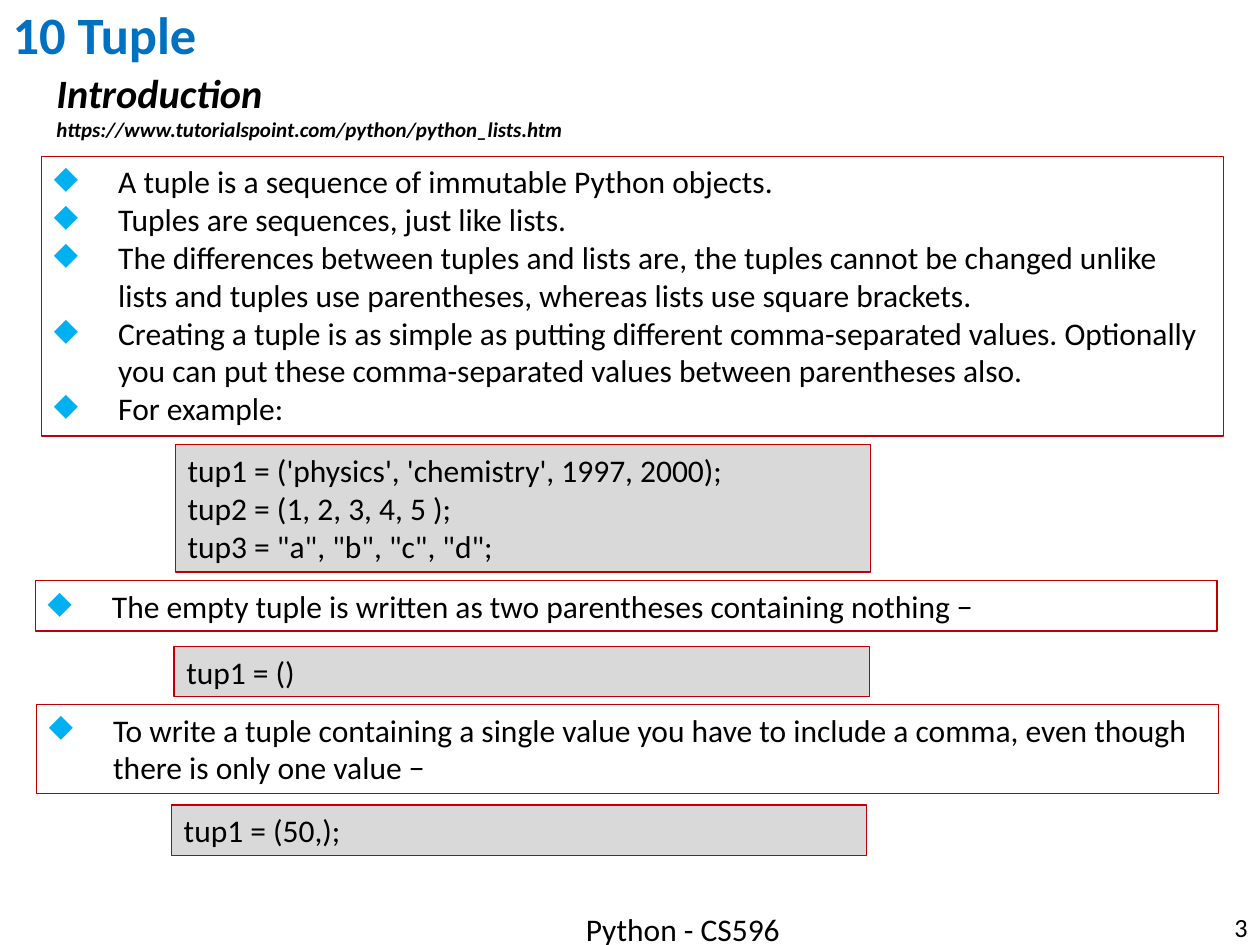
"""Build the slide that introduces Python tuples."""
from dataclasses import dataclass

from lxml import etree
from pptx import Presentation
from pptx.dml.color import RGBColor
from pptx.enum.shapes import MSO_SHAPE
from pptx.enum.text import MSO_ANCHOR, MSO_AUTO_SIZE, PP_ALIGN
from pptx.oxml.ns import qn
from pptx.util import Inches, Pt

RECTANGLE = MSO_SHAPE.RECTANGLE
TOP, MIDDLE = MSO_ANCHOR.TOP, MSO_ANCHOR.MIDDLE
NO_FIT, GROW = MSO_AUTO_SIZE.NONE, MSO_AUTO_SIZE.SHAPE_TO_FIT_TEXT
LEFT, CENTER, RIGHT = PP_ALIGN.LEFT, PP_ALIGN.CENTER, PP_ALIGN.RIGHT


@dataclass(frozen=True)
class Theme:
    """Colours, font, type sizes and measures of the slide."""
    font: str = "Calibri"
    text: str = "000000"
    heading: str = "0070C0"
    bullet: str = "00B0F0"
    border: str = "C00000"
    code_fill: str = "D9D9D9"
    title_size: float = 30
    subtitle_size: float = 23
    body_size: float = 18
    number_size: float = 15
    link_size: float = 12
    border_width: float = 0.75
    indent: float = 0.51
    point_width: float = 9.38
    code_width: float = 5.52


class TupleSlide:
    """Draws each kind of element on one slide in one style."""

    def __init__(self, slide, theme):
        self.slide = slide
        self.theme = theme

    def add_text(self, paragraph, text, size, color=None, bold=False, italic=False):
        """Add one formatted run to a paragraph."""
        run = paragraph.add_run()
        run.text = text
        font = run.font
        font.name, font.size = self.theme.font, Pt(size)
        font.bold, font.italic = bold, italic
        font.color.rgb = RGBColor.from_string(color or self.theme.text)

    def add_bullet(self, paragraph):
        """Give a paragraph a hanging diamond bullet."""
        properties = paragraph._p.get_or_add_pPr()
        properties.set("marL", str(Inches(self.theme.indent)))
        properties.set("indent", str(-Inches(self.theme.indent)))
        color = etree.SubElement(properties, qn("a:buClr"))
        etree.SubElement(color, qn("a:srgbClr"), val=self.theme.bullet)
        etree.SubElement(properties, qn("a:buChar"), char="◆")

    def fill_frame(self, frame, lines, align=LEFT, anchor=TOP, fit=GROW,
                   bulleted=False, **style):
        """Set (text, size) lines as the paragraphs of a frame."""
        frame.word_wrap = True
        frame.auto_size = fit
        frame.vertical_anchor = anchor
        for index, (text, size) in enumerate(lines):
            paragraph = frame.add_paragraph() if index else frame.paragraphs[0]
            paragraph.alignment = align
            if bulleted:
                self.add_bullet(paragraph)
            self.add_text(paragraph, text, size, **style)

    def title(self, text, left, top, width, height):
        """Place and format the title placeholder."""
        heading = self.slide.shapes.title
        heading.left, heading.top = Inches(left), Inches(top)
        heading.width, heading.height = Inches(width), Inches(height)
        self.fill_frame(heading.text_frame, [(text, self.theme.title_size)],
                        anchor=MIDDLE, fit=NO_FIT,
                        color=self.theme.heading, bold=True)
        heading.text_frame.paragraphs[0].line_spacing = 0.9

    def label(self, lines, left, top, width, height, **style):
        """Add a plain text box."""
        box = self.slide.shapes.add_textbox(
            Inches(left), Inches(top), Inches(width), Inches(height))
        self.fill_frame(box.text_frame, lines, **style)

    def panel(self, texts, left, top, width, height, fill=None, bulleted=False):
        """Add a bordered rectangle of body text."""
        box = self.slide.shapes.add_shape(
            RECTANGLE, Inches(left), Inches(top), Inches(width), Inches(height))
        box.shadow.inherit = False
        box.line.color.rgb = RGBColor.from_string(self.theme.border)
        box.line.width = Pt(self.theme.border_width)
        if fill:
            box.fill.solid()
            box.fill.fore_color.rgb = RGBColor.from_string(fill)
        else:
            box.fill.background()
        lines = [(text, self.theme.body_size) for text in texts]
        self.fill_frame(box.text_frame, lines, bulleted=bulleted)

    def points(self, texts, left, top, height):
        """Add a panel of bulleted statements."""
        self.panel(texts, left, top, self.theme.point_width, height, bulleted=True)

    def code(self, texts, left, top, height):
        """Add a shaded panel of code lines."""
        self.panel(texts, left, top, self.theme.code_width, height,
                   fill=self.theme.code_fill)


def main():
    """Compose and save the slide."""
    deck = Presentation()
    deck.slide_width, deck.slide_height = Inches(10), Inches(7.5)
    theme = Theme()
    page = TupleSlide(deck.slides.add_slide(deck.slide_layouts[5]), theme)

    page.label([("3", theme.number_size)], 7.75, 7.16, 2.25, 0.4,
               align=RIGHT, anchor=MIDDLE, fit=NO_FIT)
    page.title("10 Tuple", 0, -0.03, 10, 0.66)
    page.label([("Introduction", theme.subtitle_size),
                ("https://www.tutorialspoint.com/python/python_lists.htm",
                 theme.link_size)],
               0.35, 0.49, 6.37, 0.69, bold=True, italic=True)
    page.label([("Python - CS596", theme.body_size)], 3.08, 7.17, 4.68, 0.4,
               align=CENTER)

    page.points([
        "A tuple is a sequence of immutable Python objects.",
        "Tuples are sequences, just like lists.",
        "The differences between tuples and lists are, the tuples cannot be "
        "changed unlike lists and tuples use parentheses, whereas lists use "
        "square brackets.",
        "Creating a tuple is as simple as putting different comma-separated "
        "values. Optionally you can put these comma-separated values between "
        "parentheses also.",
        "For example:",
    ], 0.33, 1.24, 2.22)
    page.code([
        "tup1 = ('physics', 'chemistry', 1997, 2000);",
        "tup2 = (1, 2, 3, 4, 5 );",
        'tup3 = "a", "b", "c", "d";',
    ], 1.39, 3.53, 1.01)
    page.points(["The empty tuple is written as two parentheses containing "
                 "nothing −"], 0.28, 4.61, 0.4)
    page.code(["tup1 = ()"], 1.38, 5.13, 0.4)
    page.points(["To write a tuple containing a single value you have to include "
                 "a comma, even though there is only one value −"],
                0.29, 5.59, 0.71)
    page.code(["tup1 = (50,);"], 1.36, 6.39, 0.4)

    deck.save("out.pptx")


if __name__ == "__main__":
    main()
